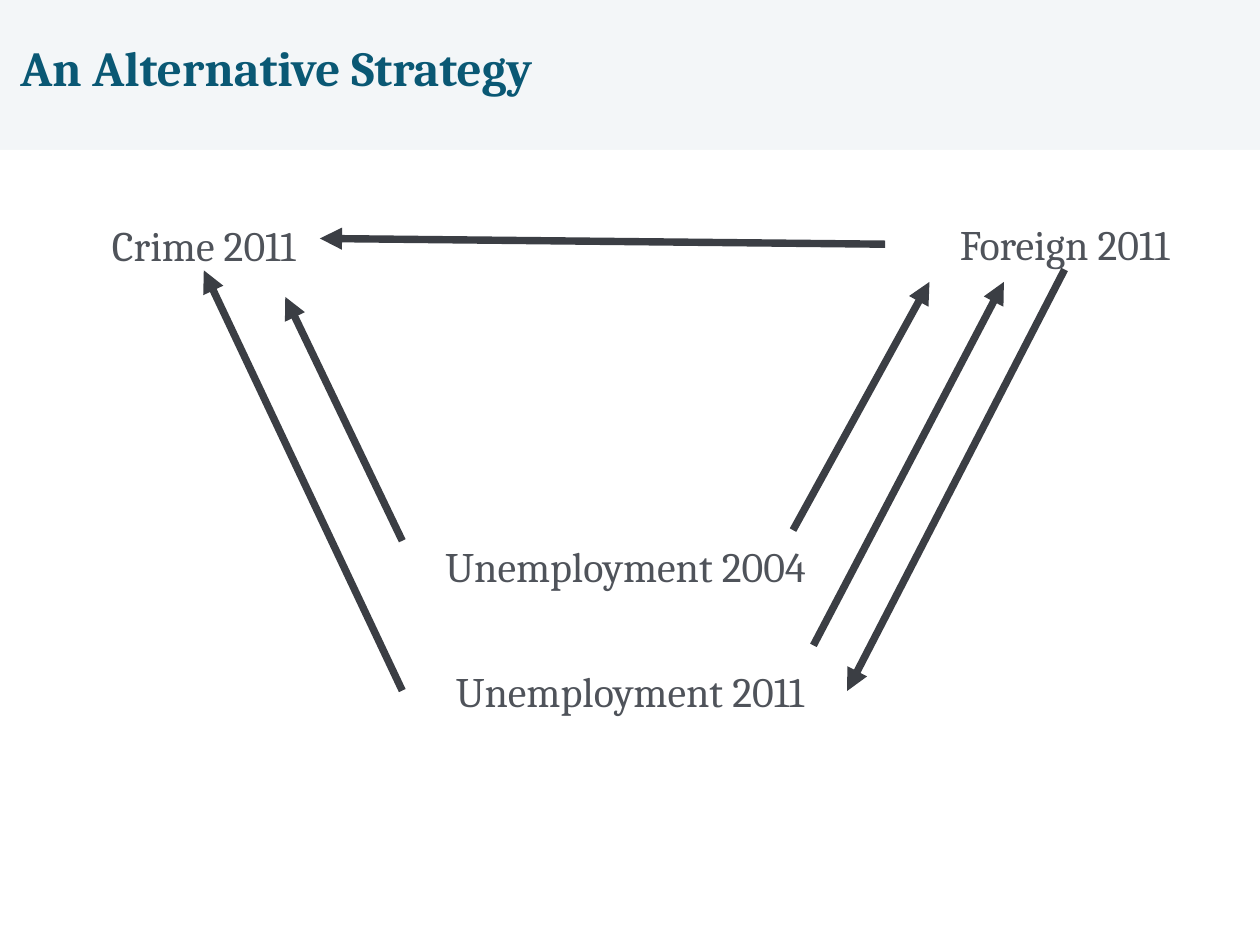
from pptx import Presentation
from pptx.dml.color import RGBColor
from pptx.enum.shapes import MSO_CONNECTOR, MSO_SHAPE
from pptx.enum.text import MSO_ANCHOR, MSO_AUTO_SIZE, PP_ALIGN
from pptx.util import Inches, Pt
from lxml.etree import SubElement
from pptx.oxml.ns import qn

PALE = RGBColor(0xF3, 0xF6, 0xF8)
WHITE = RGBColor(0xFF, 0xFF, 0xFF)
TEAL = RGBColor(0x0A, 0x58, 0x74)
GREY = RGBColor(0x4F, 0x53, 0x5A)
DARK = RGBColor(0x3B, 0x3E, 0x44)
FONT = "Cambria"
WIDE, HIGH = 14.22, 10.66
HEAD = 1.69


def place(shape, left, top, width, height):
    shape.left, shape.top = Inches(left), Inches(top)
    shape.width, shape.height = Inches(width), Inches(height)


def write(frame, text, size, color, align, bold=False):
    frame.word_wrap = True
    frame.auto_size = MSO_AUTO_SIZE.NONE
    frame.vertical_anchor = MSO_ANCHOR.TOP
    line = frame.paragraphs[0]
    line.alignment = align
    run = line.add_run()
    run.text = text
    font = run.font
    font.name, font.size, font.bold = FONT, Pt(size), bold
    font.color.rgb = color


def add_panel(slide, left, top, width, height, color):
    panel = slide.shapes.add_shape(
        MSO_SHAPE.RECTANGLE, Inches(left), Inches(top), Inches(width), Inches(height))
    panel.shadow.inherit = False
    panel.fill.solid()
    panel.fill.fore_color.rgb = color
    panel.line.fill.background()


def add_title(slide, left, top, width, height):
    title = slide.shapes.title
    place(title, left + 0.13, top + 0.37, width - 3.47, height - 0.65)
    write(title.text_frame, "An Alternative Strategy", 39.8, TEAL, PP_ALIGN.LEFT, True)
    slide.shapes.element.append(title.element)


def add_label(slide, text, left, top, width):
    label = slide.shapes.add_textbox(
        Inches(left), Inches(top), Inches(width), Inches(0.57))
    frame = label.text_frame
    frame.margin_left = frame.margin_right = 0
    frame.margin_top = frame.margin_bottom = 0
    write(frame, text, 34.1, GREY, PP_ALIGN.CENTER)
    return label


def add_arrow(slide, start, end):
    points = [Inches(value) for value in start + end]
    arrow = slide.shapes.add_connector(MSO_CONNECTOR.STRAIGHT, *points)
    arrow.line.color.rgb = DARK
    arrow.line.width = Pt(6)
    SubElement(arrow.line._get_or_add_ln(), qn("a:tailEnd"), type="triangle")
    SubElement(arrow.element.spPr, qn("a:effectLst"))
    return arrow


def add_model(slide, left, top):
    def label(text, x, y, width):
        return add_label(slide, text, left + x, top + y, width)

    def arrow(x1, y1, x2, y2):
        return add_arrow(slide, (left + x1, top + y1), (left + x2, top + y2))

    crime = label("Crime 2011", 0.86, 0.79, 2.88)
    label("Unemployment 2004", 4.61, 4.41, 4.9)
    jobless = label("Unemployment 2011", 4.66, 5.82, 4.9)
    foreign = label("Foreign 2011", 9.99, 0.78, 4.05)

    arrow(8.95, 4.29, 10.49, 1.49)
    arrow(4.54, 4.41, 3.22, 1.66)
    arrow(4.54, 6.1, 2.3, 1.37).end_connect(crime, 2)
    arrow(9.18, 5.59, 11.33, 1.49)
    back = arrow(12.01, 1.35, 9.56, 6.1)
    back.begin_connect(foreign, 2)
    back.end_connect(jobless, 3)
    arrow(9.99, 1.06, 3.61, 1).begin_connect(foreign, 1)


def main():
    deck = Presentation()
    deck.slide_width, deck.slide_height = Inches(WIDE), Inches(HIGH)
    slide = deck.slides.add_slide(deck.slide_layouts[5])
    add_panel(slide, 0, 0, WIDE, HEAD, PALE)
    add_panel(slide, 0, HEAD, WIDE, HIGH - HEAD, WHITE)
    add_title(slide, 0, 0, WIDE, HEAD)
    add_model(slide, 0, HEAD)
    deck.save("out.pptx")


if __name__ == "__main__":
    main()
